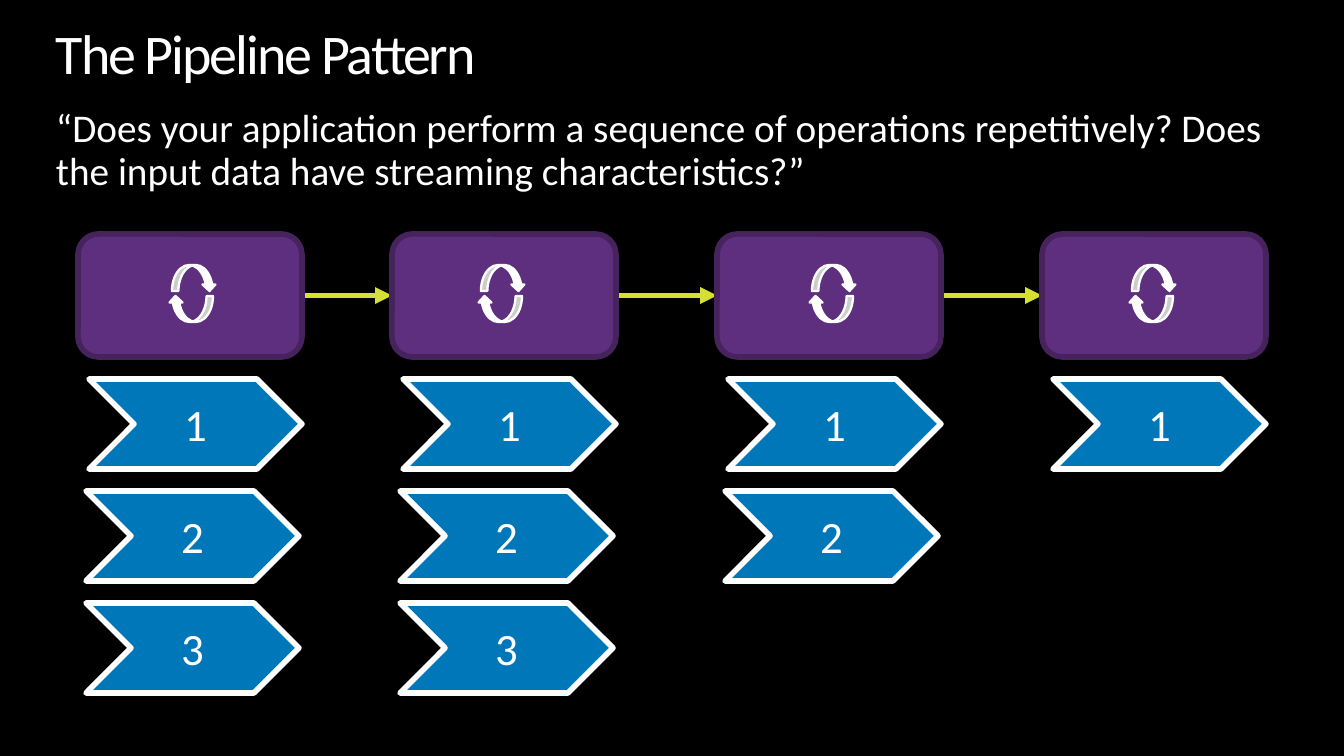
from dataclasses import dataclass

from lxml import etree
from pptx import Presentation
from pptx import util as u
from pptx.dml.color import RGBColor
from pptx.enum import shapes, text
from pptx.oxml.ns import qn

PX = 914400 / 134.4  # EMU in one px


@dataclass(frozen=True)
class Theme:
    font: str = "Calibri"
    back: str = "000000"
    ink: str = "FFFFFF"
    stage: str = "5E2F7E"
    stage_edge: str = "46235D"
    item: str = "0077B8"
    flow: str = "D6E032"
    title_pt: int = 30
    body_pt: int = 21
    item_pt: int = 24
    line_pt: float = 3
    loop_line_pt: float = 1.25


T = Theme()


def px(*lengths):
    return [u.Emu(round(n * PX)) for n in lengths]


def rgb(code):
    return RGBColor.from_string(code)


def add_box(slide, kind, box, fill, edge, line_pt=T.line_pt):
    sp = slide.shapes.add_shape(kind, *px(*box))
    sp.shadow.inherit = False
    sp.fill.solid()
    sp.fill.fore_color.rgb = rgb(fill)
    sp.line.color.rgb = rgb(edge)
    sp.line.width = u.Pt(line_pt)
    return sp


def format_text(p, size):
    for r in p.runs:
        r.font.name = T.font
        r.font.size = u.Pt(size)
        r.font.color.rgb = rgb(T.ink)


def add_text(slide, box, words, size):
    tf = slide.shapes.add_textbox(*px(*box)).text_frame
    tf.word_wrap = True
    tf.margin_left = tf.margin_top = tf.margin_right = tf.margin_bottom = 0
    tf.text = words
    p = tf.paragraphs[0]
    p.line_spacing = 0.9
    format_text(p, size)
    return p


def add_header(slide, box):
    x, y, w, h = box
    p = add_text(slide, (x, y, w, 60), "The Pipeline Pattern", T.title_pt)
    p.runs[0].font._element.set("spc", "-110")
    add_text(slide, (x, y + 83, w, h - 83),
             "“Does your application perform a sequence of operations repetitively? "
             "Does the input data have streaming characteristics?”", T.body_pt)


def add_stage(slide, box, loop_x):
    """A rounded box with two curved arrows forming a loop."""
    x, y, w, h = box
    stage = add_box(slide, shapes.MSO_SHAPE.ROUNDED_RECTANGLE, box, T.stage, T.stage_edge)
    for dx, dy, turn in ((0, 31, 0), (-3, 62, 180)):
        arrow = add_box(slide, shapes.MSO_SHAPE.CURVED_DOWN_ARROW,
                        (x + loop_x + dx, y + dy, 44, 26), T.ink, T.ink, T.loop_line_pt)
        arrow.rotation = turn
    return stage


def add_items(slide, box, count):
    """Numbered chevrons stacked below a stage."""
    x, y, w, h = box
    for i in range(count):
        dx = 0 if i == 0 else -3
        sp = add_box(slide, shapes.MSO_SHAPE.CHEVRON,
                     (x + dx, y + 112 * i, w, h), T.item, T.ink)
        tf = sp.text_frame
        tf.text = str(i + 1)
        tf.vertical_anchor = text.MSO_ANCHOR.MIDDLE
        tf.paragraphs[0].alignment = text.PP_ALIGN.CENTER
        format_text(tf.paragraphs[0], T.item_pt)


def add_flow(slide, start, end):
    c = slide.shapes.add_connector(shapes.MSO_CONNECTOR.CURVE, 0, 0, 0, 0)
    c.begin_connect(start, 3)
    c.end_connect(end, 1)
    c.line.color.rgb = rgb(T.flow)
    c.line.width = u.Pt(T.line_pt)
    etree.SubElement(c.line._get_or_add_ln(), qn("a:tailEnd"), type="triangle")
    etree.SubElement(c._element.spPr, qn("a:effectLst"))
    # Flow arrows lie behind the stages
    slide.shapes._spTree.insert(2, c._element)


def add_pipeline(slide, box):
    x, y, w, h = box
    # Each column: left offset, loop offset, number of items
    columns = ((0, 94, 3), (314, 89, 3), (639, 95, 2), (964, 90, 1))
    stages = []
    for dx, loop_x, count in columns:
        stages.append(add_stage(slide, (x + dx, y, 224, 123), loop_x))
        add_items(slide, (x + dx + 11, y + 145, 213, 90), count)
    for start, end in zip(stages, stages[1:]):
        add_flow(slide, start, end)


def main():
    prs = Presentation()
    prs.slide_width, prs.slide_height = px(1344, 756)
    slide = prs.slides.add_slide(prs.slide_layouts[6])
    slide.background.fill.solid()
    slide.background.fill.fore_color.rgb = rgb(T.back)
    add_header(slide, (56, 26, 1232, 220))
    add_pipeline(slide, (78, 234, 1188, 459))
    prs.save("out.pptx")


if __name__ == "__main__":
    main()
